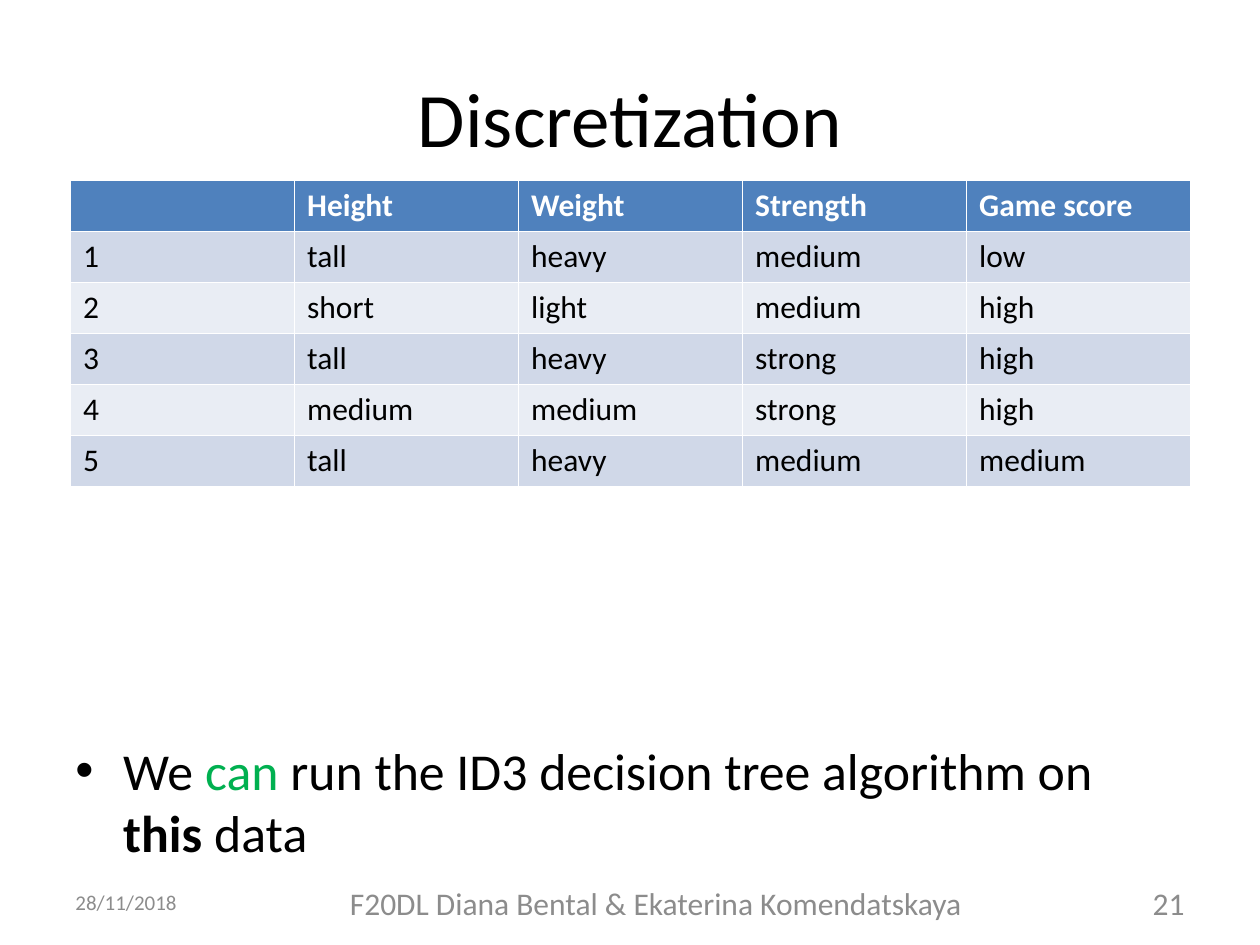
from lxml.etree import SubElement
from pptx import Presentation
from pptx.dml.color import RGBColor
from pptx.enum.text import MSO_ANCHOR as Anchor, PP_ALIGN as Align
from pptx.oxml.ns import qn
from pptx.util import Inches, Pt


def colour(value):
    return RGBColor.from_string(value)


def write(para, text, size=18, color="000000", bold=False, align=Align.LEFT):
    para.alignment = align
    span = para.add_run()
    span.text = text
    span.font.name = "Calibri"
    span.font.size = Pt(size)
    span.font.bold = bold
    span.font.color.rgb = colour(color)


# Page, on a grid of 100 columns and 75 rows
deck = Presentation()
deck.slide_width, deck.slide_height = Inches(10), Inches(7.5)
column, row = deck.slide_width // 100, deck.slide_height // 75
page = deck.slides.add_slide(deck.slide_layouts[5])

# Title
title = page.shapes.title
title.left, title.top = 5 * column, 3 * row
title.width, title.height = 90 * column, round(12.5 * row)
title.text_frame.vertical_anchor = Anchor.MIDDLE
write(title.text_frame.paragraphs[0], "Discretization", size=44, align=Align.CENTER)

# Table of discretized values
records = [
    ["", "Height", "Weight", "Strength", "Game score"],
    ["1", "tall", "heavy", "medium", "low"],
    ["2", "short", "light", "medium", "high"],
    ["3", "tall", "heavy", "strong", "high"],
    ["4", "medium", "medium", "strong", "high"],
    ["5", "tall", "heavy", "medium", "medium"],
]
table = page.shapes.add_table(
    len(records), len(records[0]),
    round(5.6 * column), round(14.3 * row), round(88.9 * column), round(24.3 * row),
).table
for number, record in enumerate(records):
    header = number == 0
    fill = "4F81BD" if header else ("E9EDF4", "D0D8E8")[number % 2]
    for position, text in enumerate(record):
        cell = table.cell(number, position)
        cell.fill.solid()
        cell.fill.fore_color.rgb = colour(fill)
        if text:
            write(cell.text_frame.paragraphs[0], text, bold=header,
                  color="FFFFFF" if header else "000000")

# Conclusion, a bullet resting on the bottom of the body area
body = page.shapes.add_textbox(5 * column, round(17.5 * row),
                               90 * column, round(51.5 * row)).text_frame
body.word_wrap = True
body.vertical_anchor = Anchor.BOTTOM
para = body.paragraphs[0]
for text, color, bold in [
    ("We ", "000000", False),
    ("can", "00B050", False),
    (" run the ID3 decision tree algorithm on ", "000000", False),
    ("this ", "000000", True),
    ("data", "000000", False),
]:
    write(para, text, size=29.6, color=color, bold=bold)
properties = para._p.get_or_add_pPr()
properties.set("marL", str(Inches(0.38)))
properties.set("indent", str(-Inches(0.38)))
SubElement(properties, qn("a:buFont"), typeface="Arial")
SubElement(properties, qn("a:buChar"), char="•")

# Footer: date, course and page number
for left, top, width, height, text, size, align in [
    (5, 69.5, 11.9, 4.2, "28/11/2018", 12, Align.LEFT),
    (18.6, 69.8, 66.9, 3.7, "F20DL Diana Bental & Ekaterina Komendatskaya", 18, Align.CENTER),
    (87.8, 69.8, 7.2, 3.7, "21", 18, Align.RIGHT),
]:
    box = page.shapes.add_textbox(round(left * column), round(top * row),
                                  round(width * column), round(height * row))
    box.text_frame.word_wrap = True
    box.text_frame.vertical_anchor = Anchor.MIDDLE
    write(box.text_frame.paragraphs[0], text, size=size, color="8C8C8C", align=align)

deck.save("out.pptx")
